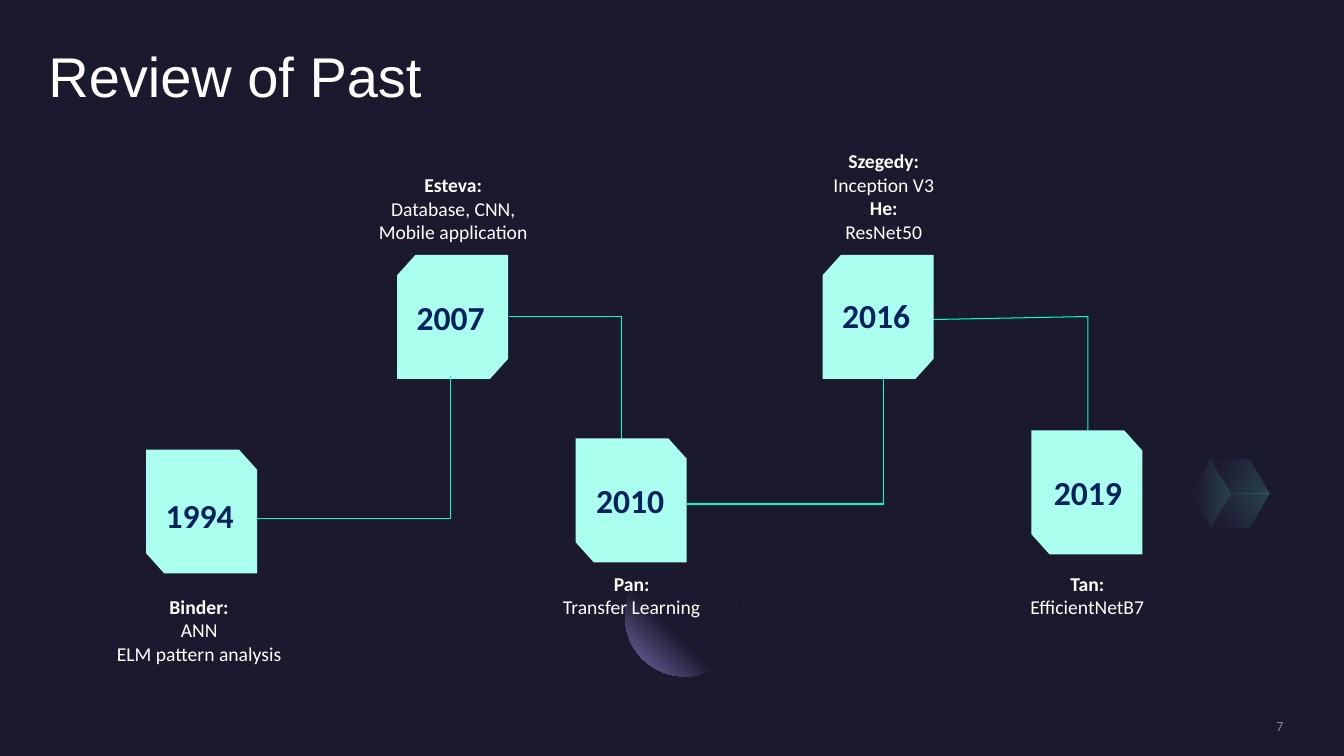
from math import cos, radians, sin

from lxml import etree
from pptx import Presentation
from pptx.dml.color import RGBColor
from pptx.enum.shapes import MSO_CONNECTOR as Connector, MSO_SHAPE as Shape
from pptx.enum.text import MSO_ANCHOR as Anchor, MSO_AUTO_SIZE as AutoSize, PP_ALIGN as Align
from pptx.oxml import parse_xml
from pptx.oxml.ns import nsdecls, qn
from pptx.util import Inches, Pt

NIGHT, MINT, TEAL, NAVY, WHITE = "1B192E", "AAFFEE", "00FFCD", "002060", "FFFFFF"
TAG_WIDTH, TAG_HEIGHT = 1.1, 1.23
CAPTION_WIDTH = 1.85

# Year, its left and top, tag left and top, cut at top left,
# caption left, top and height, (text, bold) lines
MILESTONES = [
    ("1994", 1.48, 4.86, 1.45, 4.46, False, 1.05, 5.85, 0.81,
     [("Binder:", True), ("ANN", False), ("ELM pattern analysis", False)]),
    ("2007", 3.97, 2.9, 3.94, 2.53, True, 3.57, 1.67, 0.82,
     [("Esteva:", True), ("Database, CNN, Mobile application", False)]),
    ("2010", 5.75, 4.71, 5.71, 4.35, False, 5.34, 5.62, 0.57,
     [("Pan:", True), ("Transfer Learning", False)]),
    ("2016", 8.19, 2.88, 8.16, 2.53, True, 7.84, 1.43, 1.04,
     [("Szegedy:", True), ("Inception V3", False), ("He:", True), ("ResNet50", False)]),
    ("2019", 10.29, 4.63, 10.23, 4.27, False, 9.86, 5.62, 0.57,
     [("Tan:", True), ("EfficientNetB7", False)]),
]

# Link from 1994 to 2007, in two straight parts
FIRST_LINK = [(2.55, 5.14), (4.47, 5.14), (4.47, 3.73)]

# Start, corner and end of the other links
ELBOWS = [
    [(5.05, 3.14), (6.16, 3.14), (6.16, 4.55)],
    [(6.81, 5), (8.76, 5), (8.76, 3.58)],
    [(9.24, 3.17), (10.79, 3.14), (10.79, 4.55)],
]


def color(value):
    return RGBColor.from_string(value)


def add_span(para, text, size, shade, bold=False, font="Calibri"):
    span = para.add_run()
    span.text = text
    span.font.name, span.font.size, span.font.bold = font, Pt(size), bold
    span.font.color.rgb = color(shade)
    return span


def add_text(page, left, top, width, height, lines, size, shade):
    """Centred text box; lines are (text, bold) pairs."""
    box = page.shapes.add_textbox(Inches(left), Inches(top), Inches(width), Inches(height))
    frame = box.text_frame
    frame.word_wrap = True
    frame.auto_size = AutoSize.SHAPE_TO_FIT_TEXT
    for index, (text, bold) in enumerate(lines):
        para = frame.paragraphs[0] if index == 0 else frame.add_paragraph()
        para.alignment = Align.CENTER
        add_span(para, text, size, shade, bold)


def add_outline(page, points, close=True):
    start, *rest = [(Inches(x), Inches(y)) for x, y in points]
    builder = page.shapes.build_freeform(*start)
    builder.add_line_segments(rest, close=close)
    outline = builder.convert_to_shape()
    outline.shadow.inherit = False
    outline.line.fill.background()
    return outline


def set_gradient(shape, stops, direction):
    """Stops are (position, colour, opacity) in percent."""
    marks = "".join(
        f'<a:gs pos="{pos * 1000}"><a:srgbClr val="{shade}">'
        f'<a:alpha val="{opacity * 1000}"/></a:srgbClr></a:gs>'
        for pos, shade, opacity in stops)
    shape.fill.background()
    old = shape.fill._xPr.find(qn("a:noFill"))
    old.getparent().replace(old, parse_xml(
        f'<a:gradFill {nsdecls("a")} rotWithShape="1"><a:gsLst>{marks}</a:gsLst>{direction}</a:gradFill>'))


def add_hexagon(page, center_x, center_y, radius):
    corners = [(center_x + radius * cos(radians(60 * k)), center_y + radius * sin(radians(60 * k)))
               for k in range(6)]
    for first, angle in ((4, 30), (2, 0), (0, 330)):
        face = [corners[(first + k) % 6] for k in range(3)] + [(center_x, center_y)]
        set_gradient(add_outline(page, face), [(20, "2C284A", 20), (100, "5BEFC1", 20)],
                     f'<a:lin ang="{angle * 60000}" scaled="0"/>')


def add_moon(page, left, top, size):
    moon = page.shapes.add_shape(Shape.OVAL, Inches(left), Inches(top), Inches(size), Inches(size))
    moon.shadow.inherit = False
    moon.line.fill.background()
    set_gradient(moon, [(60, NIGHT, 100), (100, "7771B2", 100)],
                 '<a:path path="circle"><a:fillToRect l="100000" b="100000"/></a:path>')


def add_title(page, left, top, width, height):
    title = page.shapes.title
    title.left, title.top, title.width, title.height = map(Inches, (left, top, width, height))
    frame = title.text_frame
    frame.margin_left = frame.margin_top = frame.margin_right = frame.margin_bottom = 0
    frame.vertical_anchor = Anchor.BOTTOM
    frame.auto_size = AutoSize.NONE
    para = frame.paragraphs[0]
    para.alignment, para.line_spacing = Align.LEFT, 0.9
    add_span(para, "Review of Past", 40, WHITE, font="Arial")


def add_page_number(page, left, top, width, height):
    box = page.shapes.add_textbox(Inches(left), Inches(top), Inches(width), Inches(height))
    frame = box.text_frame
    frame.word_wrap = True
    frame.margin_left = frame.margin_top = frame.margin_right = frame.margin_bottom = 0
    frame.vertical_anchor = Anchor.MIDDLE
    para = frame.paragraphs[0]
    para.alignment = Align.RIGHT
    span = add_span(para, "7", 10, "A6A6A6")
    shade = span.font._element.find(f".//{qn('a:srgbClr')}")
    etree.SubElement(shade, qn("a:alpha")).set("val", "80000")


def add_tag(page, left, top, cut_top_left):
    """Plate with two opposite corners cut off."""
    cut_x, cut_y = 0.18, 0.2
    plate = [(cut_x, 0), (TAG_WIDTH, 0), (TAG_WIDTH, TAG_HEIGHT - cut_y),
             (TAG_WIDTH - cut_x, TAG_HEIGHT), (0, TAG_HEIGHT), (0, cut_y)]
    points = [(left + (x if cut_top_left else TAG_WIDTH - x), top + y) for x, y in plate]
    tag = add_outline(page, points)
    tag.fill.solid()
    tag.fill.fore_color.rgb = color(MINT)


def style_line(line):
    line.color.rgb = color(TEAL)
    line.width = Pt(0.75)


def add_elbow(page, points):
    elbow = add_outline(page, points, close=False)
    elbow.fill.background()
    style_line(elbow.line)


def add_straight_link(page, start, end):
    link = page.shapes.add_connector(Connector.STRAIGHT, *map(Inches, start + end))
    style_line(link.line)
    etree.SubElement(link._element.spPr, qn("a:effectLst"))


def add_timeline(page):
    # Links lie behind the tags, except the first one
    for points in ELBOWS:
        add_elbow(page, points)
    for _, _, _, left, top, cut_top_left, *_ in MILESTONES:
        add_tag(page, left, top, cut_top_left)
    for start, end in zip(FIRST_LINK, FIRST_LINK[1:]):
        add_straight_link(page, start, end)
    # Years and captions
    for year, left, top, _, _, _, caption_left, caption_top, height, lines in MILESTONES:
        add_text(page, left, top, 1, 0.5, [(year, True)], 24, NAVY)
        add_text(page, caption_left, caption_top, CAPTION_WIDTH, height, lines, 14, WHITE)


def main():
    deck = Presentation()
    deck.slide_width, deck.slide_height = Inches(13.33), Inches(7.5)
    page = deck.slides.add_slide(deck.slide_layouts[5])
    page.background.fill.solid()
    page.background.fill.fore_color.rgb = color(NIGHT)

    # Decoration
    add_hexagon(page, 12.2, 4.9, 0.39)
    add_moon(page, 6.2, 5.53, 1.18)

    # Content
    add_title(page, 0.48, 0.24, 11.88, 0.85)
    add_timeline(page)
    add_page_number(page, 10.88, 7.12, 1.85, 0.17)
    deck.save("out.pptx")


if __name__ == "__main__":
    main()
